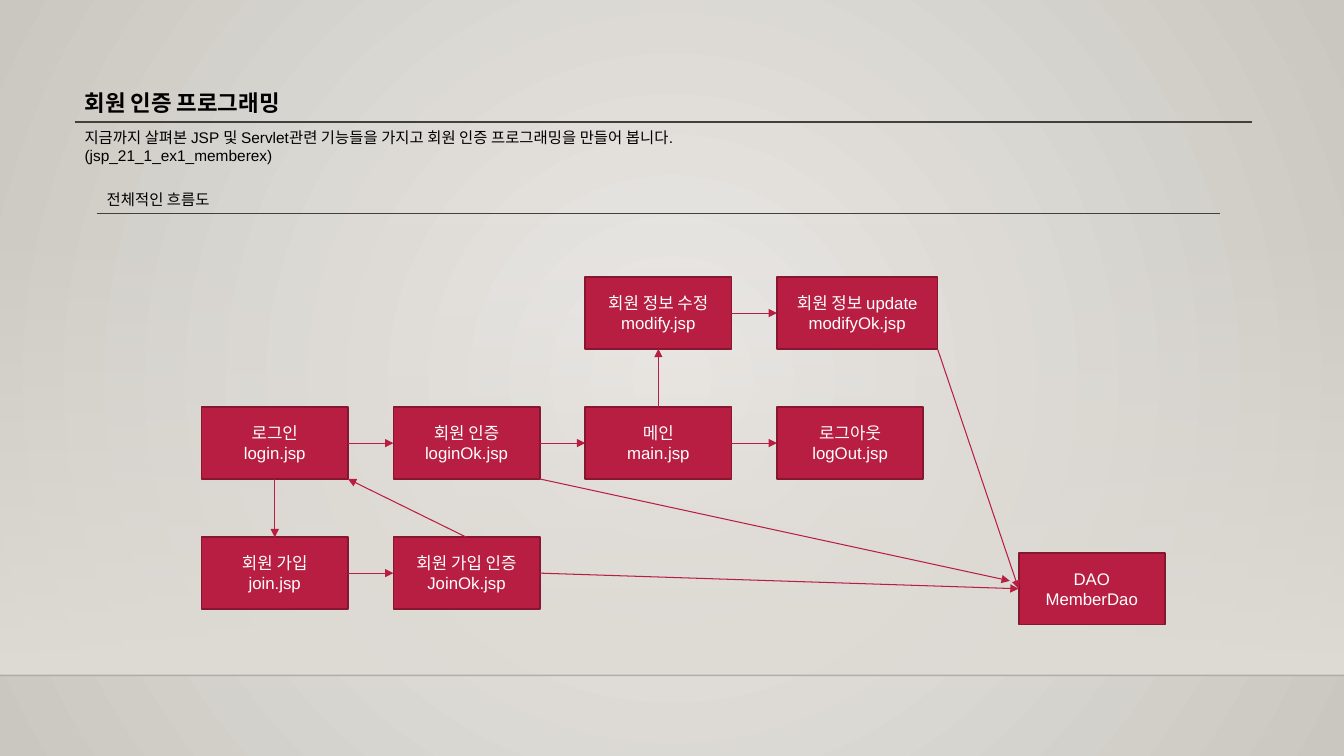
from lxml import etree
from pptx import Presentation
from pptx.dml import color
from pptx.enum import shapes, text
from pptx.oxml import ns, parse_xml
from pptx.util import Pt

RED, BLACK, SAND = "B71E42", "000000", "DFDBD5"


def hue(code):
    return color.RGBColor.from_string(code)


def rule(x1, y1, x2, y2, code, width):
    line = slide.shapes.add_connector(
        shapes.MSO_CONNECTOR.STRAIGHT, Pt(x1), Pt(y1), Pt(x2), Pt(y2))
    line.line.color.rgb = hue(code)
    line.line.width = Pt(width)
    etree.SubElement(line._element.spPr, ns.qn("a:effectLst"))
    return line


deck = Presentation()
deck.slide_width, deck.slide_height = Pt(960), Pt(540)
slide = deck.slides.add_slide(deck.slide_layouts[6])

# Backdrop and floor gradients
wall = slide.background.fill
floor = slide.shapes.add_shape(
    shapes.MSO_SHAPE.RECTANGLE, 0, Pt(159), Pt(960), Pt(323.4))
floor.shadow.inherit = False
floor.line.fill.background()
glow = ('<a:path %s path="circle"><a:fillToRect l="50000" t="50000" '
        'r="50000" b="50000"/></a:path>' % ns.nsdecls("a"))
fade = '<a:lin %s ang="5400000" scaled="0"/>' % ns.nsdecls("a")
for fill, owner, codes, shade in (
        (wall, slide._element.cSld, ("ECEAE7", "CAC7C1"), glow),
        (floor.fill, floor._element.spPr, (SAND, SAND), fade)):
    fill.gradient()
    for stop, code in zip(fill.gradient_stops, codes):
        stop.color.rgb = hue(code)
    grad = owner.find(".//" + ns.qn("a:gradFill"))
    grad.replace(grad.find(ns.qn("a:lin")), parse_xml(shade))
clear = floor._element.spPr.find(".//" + ns.qn("a:srgbClr"))
etree.SubElement(clear, ns.qn("a:alpha"), val="0")

edge = rule(0, 482.4, 960, 482.4, BLACK, 1)
ink = edge._element.spPr.find(".//" + ns.qn("a:srgbClr"))
etree.SubElement(ink, ns.qn("a:alpha"), val="20000")

# Headings with their rules
notes = (
    (53.3, 59.8, 841, 26.6, 16, True, ["회원 인증 프로그래밍"]),
    (53.3, 87.8, 841, 33.8, 11, False,
     ["지금까지 살펴본 JSP 및 Servlet관련 기능들을 가지고 회원 인증 프로그래밍을 만들어 봅니다.",
      "(jsp_21_1_ex1_memberex)"]),
    (69.1, 132.5, 802, 20.6, 11, False, ["전체적인 흐름도"]),
)
for left, top, wide, high, size, bold, lines in notes:
    frame = slide.shapes.add_textbox(
        Pt(left), Pt(top), Pt(wide), Pt(high)).text_frame
    frame.word_wrap = True
    for i, words in enumerate(lines):
        para = frame.add_paragraph() if i else frame.paragraphs[0]
        run = para.add_run()
        run.text = words
        run.font.name, run.font.size, run.font.bold = "Arial", Pt(size), bold
        run.font.color.rgb = hue(BLACK)
rule(53.3, 87.1, 894.3, 87.1, "404040", 1)
rule(69.1, 152.7, 871.1, 152.7, "404040", 1)

# Page boxes on a grid: column, row, width, label, file
WIDE, HIGH = 104.5, 51.2
pages = (
    (0, 1, WIDE, "로그인", "login.jsp"),
    (1, 1, WIDE, "회원 인증", "loginOk.jsp"),
    (2, 1, WIDE, "메인", "main.jsp"),
    (3, 1, WIDE, "로그아웃", "logOut.jsp"),
    (0, 2, WIDE, "회원 가입", "join.jsp"),
    (1, 2, WIDE, "회원 가입 인증", "JoinOk.jsp"),
    (2, 0, WIDE, "회원 정보 수정", "modify.jsp"),
    (3, 0, 114.7, "회원 정보 update", "modifyOk.jsp"),
    (4.26, 2.12, WIDE, "DAO", "MemberDao"),
)
spots = {}
for col, row, wide, label, file in pages:
    left, top = 144 + 137 * col, 198 + 92.9 * row
    spots[file] = left, top, wide
    box = slide.shapes.add_shape(
        shapes.MSO_SHAPE.RECTANGLE, Pt(left), Pt(top), Pt(wide), Pt(HIGH))
    box.shadow.inherit = False
    box.fill.solid()
    box.fill.fore_color.rgb = hue(RED)
    box.line.color.rgb = hue("871631")
    box.line.width = Pt(1.25)
    frame = box.text_frame
    frame.vertical_anchor = text.MSO_ANCHOR.MIDDLE
    for i, words in enumerate((label, file)):
        para = frame.add_paragraph() if i else frame.paragraphs[0]
        para.alignment = text.PP_ALIGN.CENTER
        run = para.add_run()
        run.text = words
        run.font.name, run.font.size = "Arial", Pt(12)
        run.font.color.rgb = hue("FFFFFF")

# Arrows between points given as shares of each box's width and height
TOP, LEFT, BASE, RIGHT, CORNER = (0.5, 0), (0, 0.5), (0.5, 1), (1, 0.5), (1, 1)
flows = (
    ("login.jsp", RIGHT, "loginOk.jsp", LEFT),
    ("loginOk.jsp", RIGHT, "main.jsp", LEFT),
    ("main.jsp", RIGHT, "logOut.jsp", LEFT),
    ("login.jsp", BASE, "join.jsp", TOP),
    ("join.jsp", RIGHT, "JoinOk.jsp", LEFT),
    ("JoinOk.jsp", TOP, "login.jsp", CORNER),
    ("main.jsp", TOP, "modify.jsp", BASE),
    ("modify.jsp", RIGHT, "modifyOk.jsp", LEFT),
    ("modifyOk.jsp", CORNER, "MemberDao", LEFT),
    ("JoinOk.jsp", RIGHT, "MemberDao", LEFT),
    ("loginOk.jsp", CORNER, "MemberDao", (-0.06, 0.39)),
)
for start, out, goal, into in flows:
    ends = []
    for name, (across, down) in ((start, out), (goal, into)):
        left, top, wide = spots[name]
        ends += [left + wide * across, top + HIGH * down]
    arrow = rule(*ends, RED, 0.75)
    stroke = arrow._element.spPr.find(ns.qn("a:ln"))
    etree.SubElement(stroke, ns.qn("a:tailEnd"), type="triangle")

deck.save("out.pptx")
